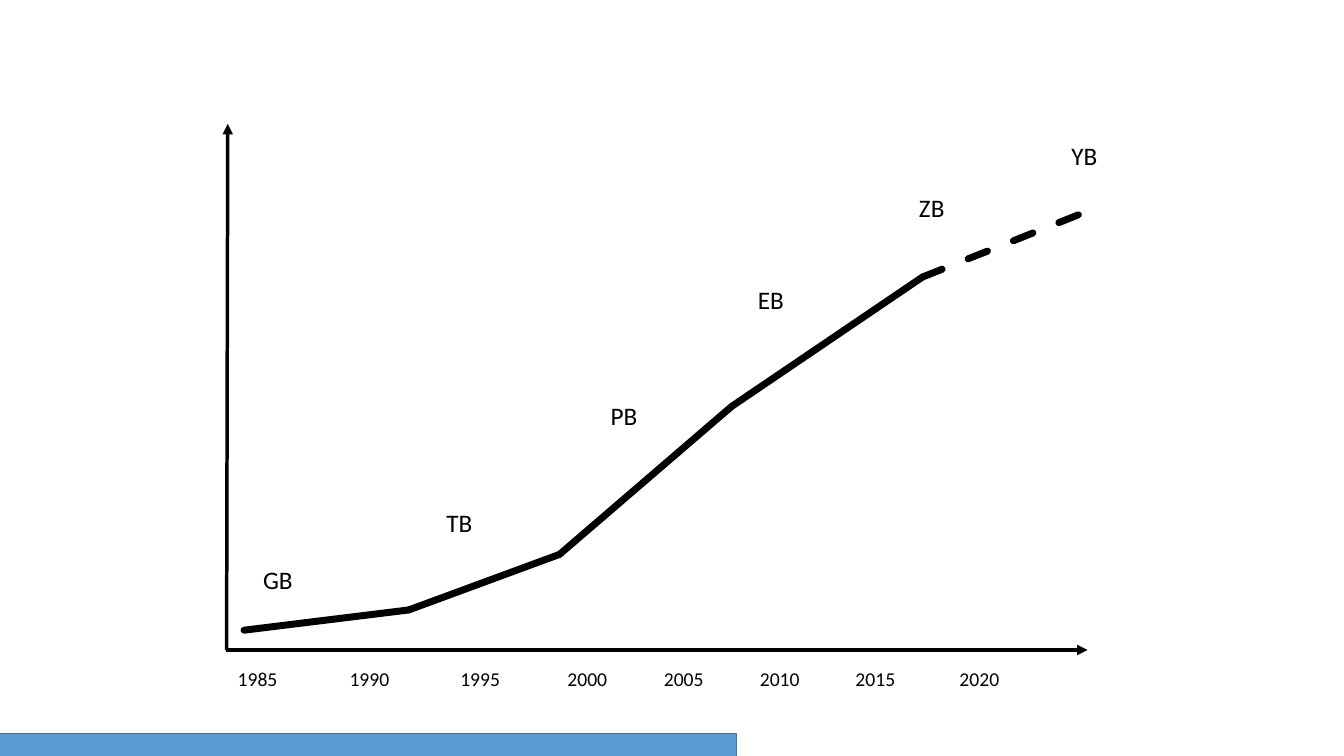
from itertools import pairwise
from lxml import etree
from pptx import Presentation
from pptx.dml.color import RGBColor
from pptx.enum import dml, shapes, text
from pptx.oxml.ns import qn
from pptx.util import Cm, Pt

BLACK = RGBColor(0x00, 0x00, 0x00)
BLUE = RGBColor(0x5B, 0x9B, 0xD5)
DARK_BLUE = RGBColor(0x43, 0x73, 0x9E)
FONT = "Calibri"

AXES = [((5.69, 16.38), (27.41, 16.38)), ((5.71, 16.38), (5.74, 3.12))]
GROWTH = [(6.15, 15.88), (10.3, 15.37), (14.1, 13.97),
          (18.44, 10.24), (23.25, 6.98), (27.56, 5.26)]
UNITS = [("GB", 6.38, 14.1), ("TB", 11, 12.67), ("PB", 15.14, 9.96),
         ("EB", 18.85, 7.04), ("ZB", 22.91, 4.72), ("YB", 26.75, 3.4)]
YEARS = [("1985", 5.74), ("1990", 8.56), ("1995", 11.35), ("2000", 14.05),
         ("2005", 16.48), ("2010", 18.9), ("2015", 21.31), ("2020", 23.93)]
YEAR_TOP = 16.68
BAR = (-3.15, 18.49, 21.72, 13)

deck = Presentation()
deck.slide_width, deck.slide_height = Cm(33.87), Cm(19.05)
slide = deck.slides.add_slide(deck.slide_layouts[6])


def add_line(start, end, weight):
    line = slide.shapes.add_connector(
        shapes.MSO_CONNECTOR.STRAIGHT, *map(Cm, start + end))
    line.line.color.rgb = BLACK
    line.line.width = Pt(weight)
    etree.SubElement(line._element.spPr, qn("a:effectLst"))
    return line


def add_label(wording, left, top, width, height, size):
    label = slide.shapes.add_textbox(*map(Cm, (left, top, width, height)))
    frame = label.text_frame
    frame.text = wording
    frame.word_wrap = True
    frame.auto_size = text.MSO_AUTO_SIZE.SHAPE_TO_FIT_TEXT
    font = frame.paragraphs[0].runs[0].font
    font.name, font.size = FONT, Pt(size)
    font.color.rgb = BLACK


bar = slide.shapes.add_shape(shapes.MSO_SHAPE.RECTANGLE, *map(Cm, BAR))
bar.shadow.inherit = False
bar.fill.solid()
bar.fill.fore_color.rgb = BLUE
bar.line.color.rgb = DARK_BLUE
bar.line.width = Pt(1)

for start, end in AXES:
    axis = add_line(start, end, 2.5)
    etree.SubElement(axis.line._get_or_add_ln(), qn("a:tailEnd"), type="triangle")

for start, end in pairwise(GROWTH):
    segment = add_line(start, end, 5)
    segment.line._get_or_add_ln().set("cap", "rnd")
    if end == GROWTH[-1]:
        segment.line.dash_style = dml.MSO_LINE.DASH

for unit, left, top in UNITS:
    add_label(unit, left, top, 1.32, 1.02, 18)

for year, left in YEARS:
    add_label(year, left, YEAR_TOP, 1.96, 0.86, 14)

deck.save("out.pptx")
